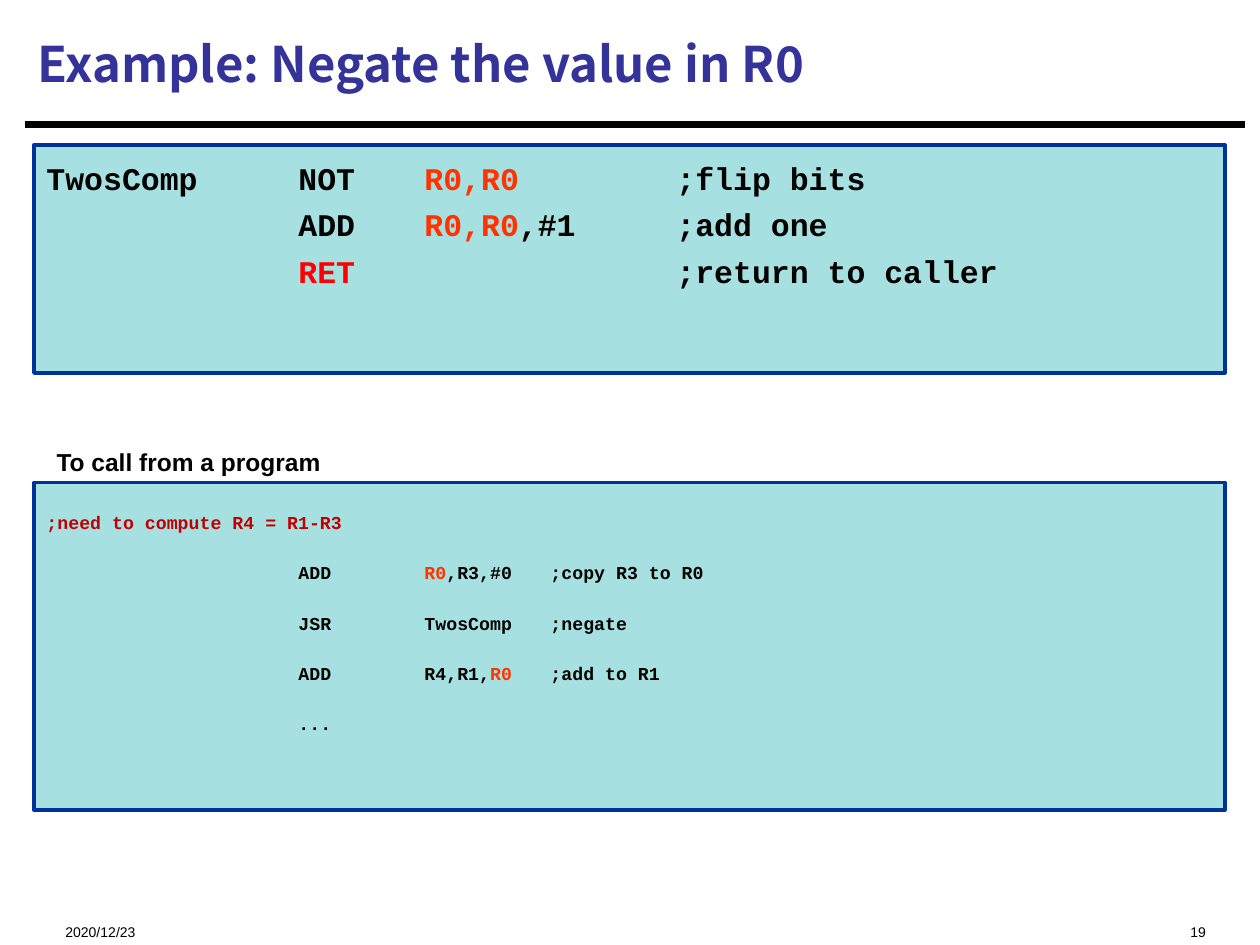
from dataclasses import dataclass

import lxml.etree
import pptx
import pptx.dml.color
import pptx.enum.shapes
import pptx.enum.text
import pptx.oxml.ns
import pptx.util
from pptx.util import Inches

COLOURS = {
    "ink": "000000",
    "title": "333399",
    "panel": "A6E0E0",
    "border": "003399",
    "register": "FF3300",
    "return": "FF0000",
    "comment": "C00000",
}
ANCHOR = pptx.enum.text.MSO_ANCHOR
ALIGN = pptx.enum.text.PP_ALIGN
TAB_COUNT = 5


@dataclass
class Run:
    text: str
    colour: str = "ink"


@dataclass
class Listing:
    top: float
    height: float
    size: float
    gap: float
    top_inset: float
    lines: list[list[Run]]


@dataclass
class Label:
    text: str
    box: tuple[float, float, float, float]
    size: float
    font: str = "Arial"
    colour: str = "ink"
    bold: bool = False
    align: ALIGN = ALIGN.LEFT
    anchor: ANCHOR = ANCHOR.BOTTOM


LABELS = [
    Label("Example: Negate the value in R0", (0.2, 0.08, 9.67, 0.84), 28,
          font="Noto Sans CJK SC", colour="title", bold=True, anchor=ANCHOR.MIDDLE),
    Label("To call from a program", (0.35, 3.28, 3.81, 0.5), 14, bold=True),
    Label("2020/12/23", (0.42, 7.15, 2.5, 0.31), 8),
    Label("19", (6.67, 7.15, 3, 0.31), 8, align=ALIGN.RIGHT),
]

LISTINGS = [
    Listing(1.15, 1.81, 18, 5, 0.11, [
        [Run("TwosComp\tNOT\t"), Run("R0,R0", "register"), Run("\t\t;flip bits")],
        [Run("\t\tADD\t"), Run("R0,R0", "register"), Run(",#1\t;add one")],
        [Run("\t\t"), Run("RET", "return"), Run("\t\t\t;return to caller")],
    ]),
    Listing(3.83, 2.6, 10.4, 16.2, 0.23, [
        [Run(";need to compute R4 = R1-R3", "comment")],
        [Run("\t\tADD\t"), Run("R0", "register"), Run(",R3,#0\t;copy R3 to R0")],
        [Run("\t\tJSR\tTwosComp\t;negate")],
        [Run("\t\tADD\tR4,R1,"), Run("R0", "register"), Run("\t;add to R1")],
        [Run("\t\t...")],
    ]),
]


def rgb(name: str) -> pptx.dml.color.RGBColor:
    return pptx.dml.color.RGBColor.from_string(COLOURS[name])


def add_text(paragraph, text: str, *, size: float, font: str,
             colour: str = "ink", bold: bool = False) -> None:
    run = paragraph.add_run()
    run.text = text
    run.font.size = pptx.util.Pt(size)
    run.font.name = font
    run.font.bold = bold
    run.font.color.rgb = rgb(colour)
    east_asian = lxml.etree.SubElement(run.font._element, pptx.oxml.ns.qn("a:ea"))
    east_asian.set("typeface", font)


def add_tabs(paragraph) -> None:
    tab_list = lxml.etree.SubElement(
        paragraph._p.get_or_add_pPr(), pptx.oxml.ns.qn("a:tabLst"))
    for inch in range(1, TAB_COUNT + 1):
        tab = lxml.etree.SubElement(tab_list, pptx.oxml.ns.qn("a:tab"))
        tab.set("pos", str(Inches(inch)))
        tab.set("algn", "l")


def draw_label(slide, label: Label) -> None:
    frame = slide.shapes.add_textbox(*map(Inches, label.box)).text_frame
    frame.word_wrap = True
    frame.vertical_anchor = label.anchor
    frame.margin_top = frame.margin_bottom = 0
    paragraph = frame.paragraphs[0]
    paragraph.alignment = label.align
    add_text(paragraph, label.text, size=label.size, font=label.font,
             colour=label.colour, bold=label.bold)


def draw_listing(slide, listing: Listing) -> None:
    panel = slide.shapes.add_shape(
        pptx.enum.shapes.MSO_SHAPE.RECTANGLE,
        Inches(0.27), Inches(listing.top), Inches(9.45), Inches(listing.height))
    panel.shadow.inherit = False
    panel.fill.solid()
    panel.fill.fore_color.rgb = rgb("panel")
    panel.line.color.rgb = rgb("border")
    panel.line.width = pptx.util.Pt(2.25)
    frame = panel.text_frame
    frame.word_wrap = True
    frame.vertical_anchor = ANCHOR.TOP
    frame.margin_top = Inches(listing.top_inset)
    for index, line in enumerate(listing.lines):
        paragraph = frame.add_paragraph() if index else frame.paragraphs[0]
        add_tabs(paragraph)
        paragraph.alignment = ALIGN.LEFT
        if index:
            paragraph.space_before = pptx.util.Pt(listing.gap)
        for run in line:
            add_text(paragraph, run.text, size=listing.size, font="Courier New",
                     colour=run.colour, bold=True)


def draw_title_rule(slide) -> None:
    rule = slide.shapes.add_connector(
        pptx.enum.shapes.MSO_CONNECTOR.STRAIGHT,
        Inches(0.2), Inches(0.99), Inches(9.88), Inches(0.99))
    rule.line.color.rgb = rgb("ink")
    rule.line.width = pptx.util.Pt(3.75)
    lxml.etree.SubElement(rule._element.spPr, pptx.oxml.ns.qn("a:effectLst"))


def main() -> None:
    """Build the slide on negating a register with a subroutine."""
    deck = pptx.Presentation()
    deck.slide_width, deck.slide_height = Inches(10), Inches(7.5)
    slide = deck.slides.add_slide(deck.slide_layouts[6])
    draw_title_rule(slide)
    for listing in LISTINGS:
        draw_listing(slide, listing)
    for label in LABELS:
        draw_label(slide, label)
    deck.save("out.pptx")


if __name__ == "__main__":
    main()
